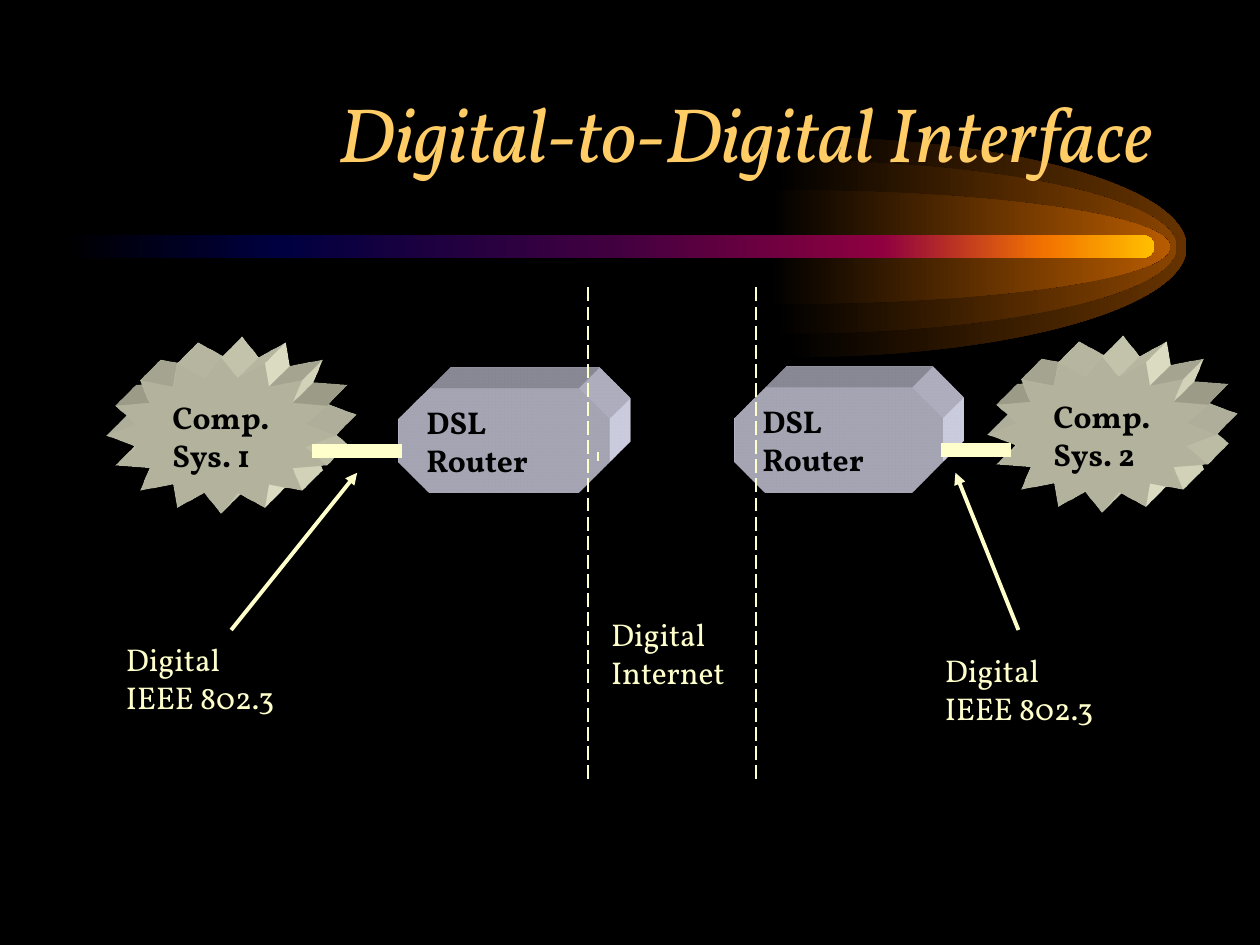
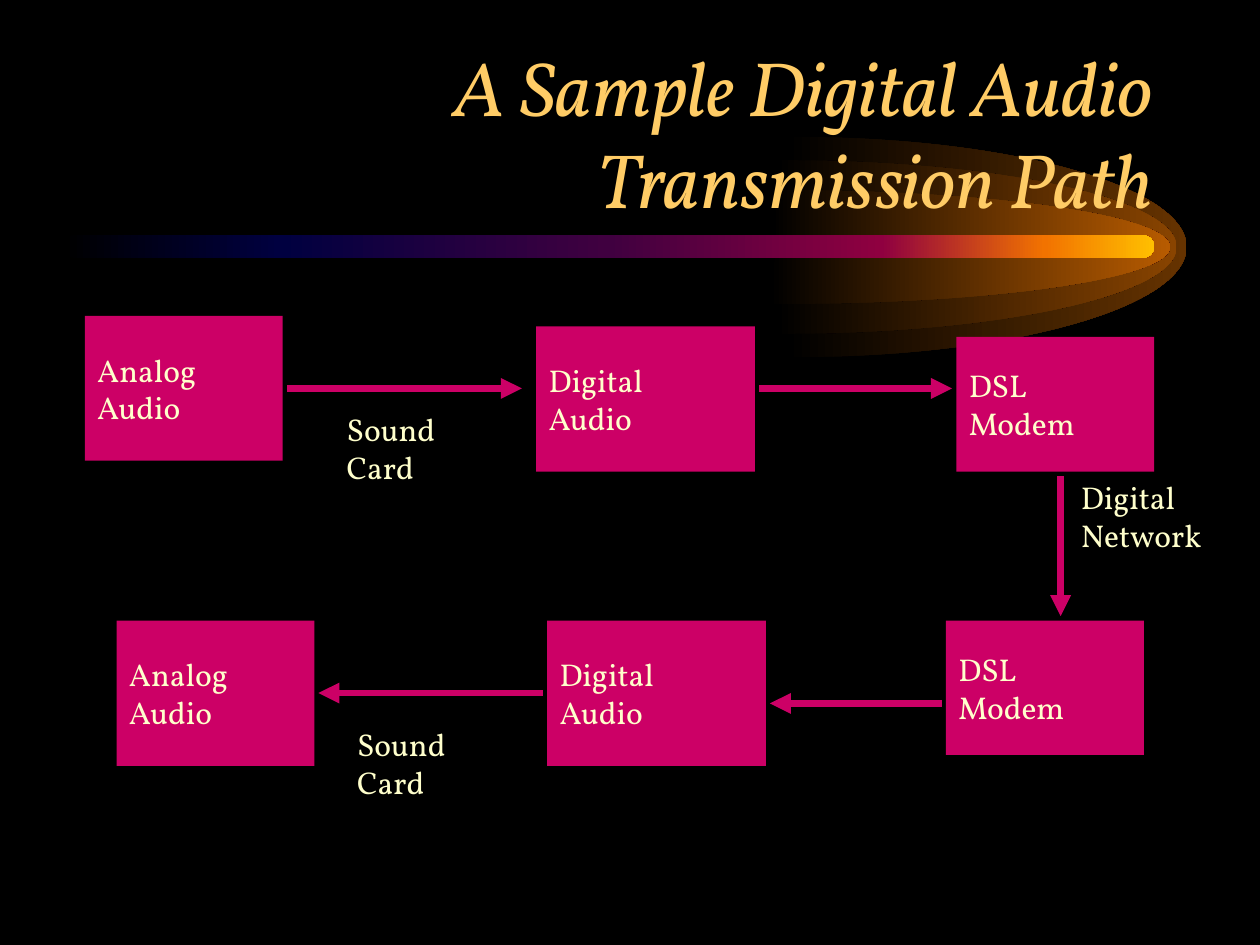
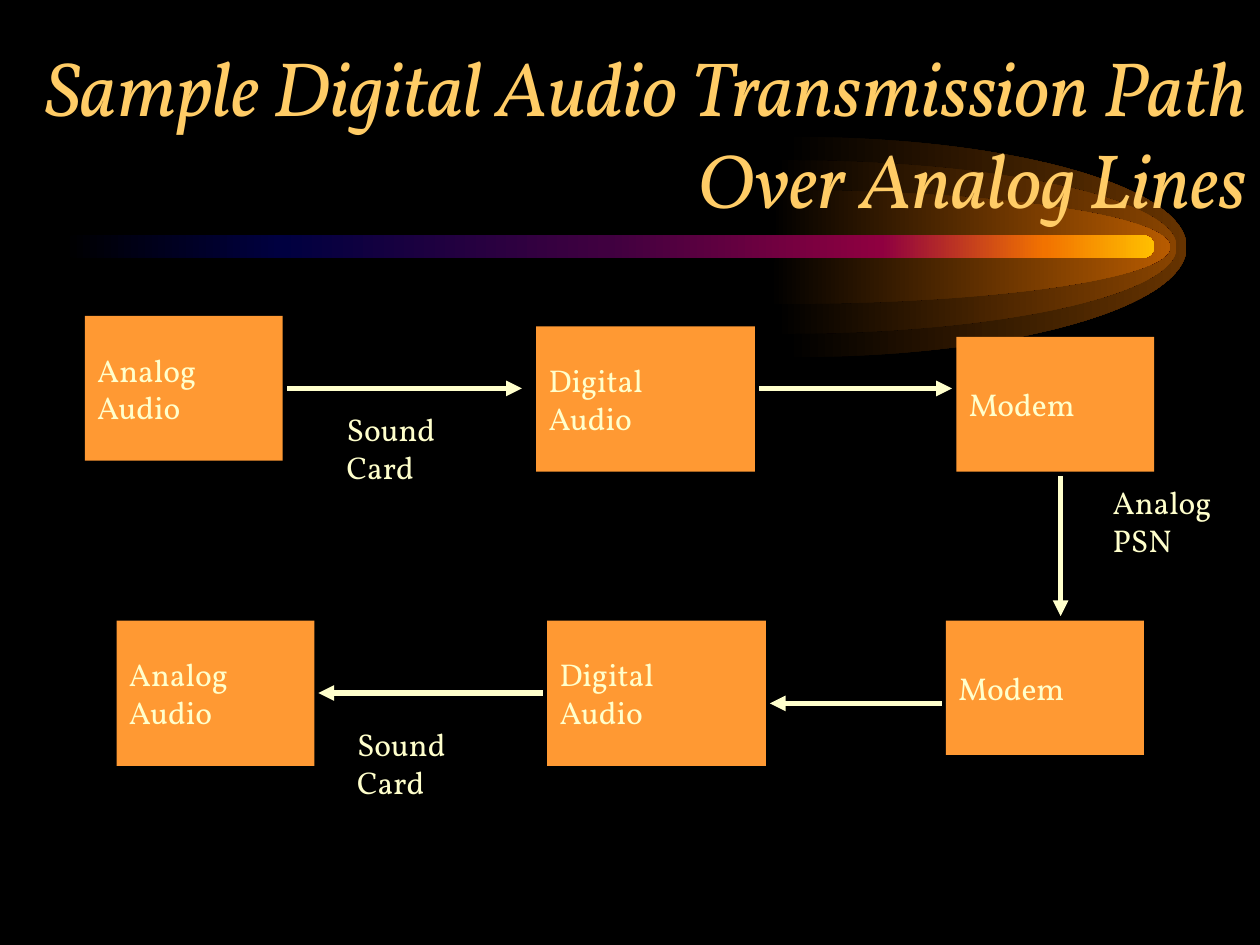
"""Build three slides on digital links and audio transmission."""
from dataclasses import dataclass

from lxml import etree
from pptx import Presentation
from pptx.dml.color import RGBColor
from pptx.enum import dml, shapes, text
from pptx.oxml import ns
from pptx.util import Cm, Pt

HUES = {
    "back": "000000", "title": "FFCC66", "cream": "FFFFCC", "ink": "000000",
    "star": "FFFFE1", "steel": "E9E9FF", "pink": "CC0066", "gold": "FF9933",
}
GLOWS = [(15.97, 2.22, "663300"), (15.77, 1.75, "894400"), (15.64, 1.15, "B75B00")]
BAND = [(0, "000000"), (20, "000040"), (50, "400040"),
        (75, "8F0040"), (90, "F27300"), (100, "FFBF00")]
BODY = {"name": "Vollkorn", "size": Pt(18), "bold": False, "italic": False}
BOLD = BODY | {"bold": True}
HEAD = BODY | {"size": Pt(44), "italic": True}
KIND = shapes.MSO_SHAPE
FIT = text.MSO_AUTO_SIZE.SHAPE_TO_FIT_TEXT
MID = text.MSO_ANCHOR.MIDDLE


@dataclass
class Block:
    words: str
    left: float
    top: float
    width: float
    height: float
    fill: str
    kind: KIND = KIND.RECTANGLE
    deep: bool = False


@dataclass
class Wire:
    x1: float
    y1: float
    x2: float
    y2: float
    hue: str = "cream"
    size: float = 1
    dash: bool = False
    arrow: bool = False


@dataclass
class Note:
    words: str
    left: float
    top: float
    width: float
    wrap: bool = False


def tint(hue: str) -> RGBColor:
    """Turn a colour name or hex string into a colour."""
    return RGBColor.from_string(HUES.get(hue, hue))


def node(parent, tag: str, **attrs: str):
    """Add a drawing element to its parent."""
    return etree.SubElement(parent, ns.qn(f"a:{tag}"), attrs)


def write(frame, words: str, font: dict, hue: str, align=text.PP_ALIGN.LEFT, **form) -> None:
    """Fill a text frame and format each paragraph."""
    frame.text = words
    for key, value in form.items():
        setattr(frame, key, value)
    for para in frame.paragraphs:
        para.alignment = align
        for key, value in font.items():
            setattr(para.font, key, value)
        para.font.color.rgb = tint(hue)


def plain(shape) -> None:
    """Take the shadow and outline off a shape."""
    shape.shadow.inherit = False
    shape.line.fill.background()


def blend(shape, stops: list) -> None:
    """Fill a shape with a gradient from left to right."""
    plain(shape)
    shape.fill.gradient()
    shape.fill.gradient_angle = 0
    row = shape.element.spPr.find(".//" + ns.qn("a:gsLst"))
    row.clear()
    for spot, hue in stops:
        node(node(row, "gs", pos=str(spot * 1000)), "srgbClr", val=hue)


def extrude(shape, hue: str) -> None:
    """Give a shape an oblique depth."""
    props = shape.element.spPr
    scene = node(props, "scene3d")
    node(scene, "camera", prst="legacyObliqueTopRight")
    node(scene, "lightRig", rig="legacyFlat3", dir="b")
    solid = node(props, "sp3d", extrusionH=str(Pt(33.87)), prstMaterial="legacyMatte")
    for side in ("bevelT", "bevelB"):
        node(solid, side, w="13500", h="13500", prst="angle")
    node(node(solid, "extrusionClr"), "srgbClr", val=HUES[hue])


def draw_block(slide, item: Block) -> None:
    """Draw a filled shape with its words."""
    shape = slide.shapes.add_shape(
        item.kind, *map(Cm, (item.left, item.top, item.width, item.height)))
    plain(shape)
    shape.fill.solid()
    shape.fill.fore_color.rgb = tint(item.fill)
    if item.deep:
        extrude(shape, item.fill)
    write(shape.text_frame, item.words, BOLD if item.deep else BODY,
          "ink" if item.deep else "cream", word_wrap=False, vertical_anchor=MID)


def draw_wire(slide, item: Wire) -> None:
    """Draw a straight line, dashed or with an arrowhead."""
    wire = slide.shapes.add_connector(
        shapes.MSO_CONNECTOR.STRAIGHT, *map(Cm, (item.x1, item.y1, item.x2, item.y2)))
    wire.line.color.rgb = tint(item.hue)
    wire.line.width = Pt(item.size)
    if item.dash:
        wire.line.dash_style = dml.MSO_LINE.LONG_DASH
    props = wire.element.spPr
    if item.arrow:
        node(props.find(ns.qn("a:ln")), "tailEnd", type="triangle")
    node(props, "effectLst")


def draw_note(slide, item: Note) -> None:
    """Draw a free label."""
    box = slide.shapes.add_textbox(*map(Cm, (item.left, item.top, item.width, 2.29)))
    write(box.text_frame, item.words, BODY, "cream", word_wrap=item.wrap, auto_size=FIT)


def draw_title(slide, words: str, left: float = 1.91, width: float = 21.59) -> None:
    """Draw the slide title."""
    box = slide.shapes.add_textbox(*map(Cm, (left, 1.06, width, 3.18)))
    write(box.text_frame, words, HEAD, "title", text.PP_ALIGN.RIGHT,
          word_wrap=True, vertical_anchor=MID)


def draw_all(slide, blocks: list, wires: list, notes: list) -> None:
    """Draw the parts of a diagram from back to front."""
    for draw, items in ((draw_block, blocks), (draw_wire, wires), (draw_note, notes)):
        for item in items:
            draw(slide, item)


def draw_glow(slide, x: float, high: float, hue: str) -> None:
    """Draw half an ellipse with two curves."""
    mid, wide, bend = 4.98, 7.95, 0.55
    spots = [(bend, -1), (1, -bend), (1, 0), (1, bend), (bend, 1), (0, 1)]
    rim = [(Cm(x + wide * u), Cm(mid + high * v)) for u, v in spots]
    rim += [(Cm(x - 0.12), Cm(mid + high)), (Cm(x), Cm(mid))]
    form = slide.shapes.build_freeform(Cm(x), Cm(mid - high))
    form.add_line_segments(rim)
    shape = form.convert_to_shape()
    sides = shape.element.findall(".//" + ns.qn("a:lnTo"))
    for start in (0, 3):
        curve = etree.Element(ns.qn("a:cubicBezTo"))
        sides[start].addprevious(curve)
        for side in sides[start:start + 3]:
            curve.append(side[0])
            side.getparent().remove(side)
    blend(shape, [(0, HUES["back"]), (100, hue)])


def dress(layout, slide) -> None:
    """Put the comet and the background on the layout."""
    layout.background.fill.solid()
    layout.background.fill.fore_color.rgb = tint("back")
    for old in list(layout.placeholders):
        old.element.getparent().remove(old.element)
    for glow in GLOWS:
        draw_glow(slide, *glow)
    band = slide.shapes.add_shape(KIND.ROUNDED_RECTANGLE, *map(Cm, (1.27, 4.74, 22, 0.46)))
    band.adjustments[0] = 0.5
    blend(band, BAND)
    for shape in list(slide.shapes):
        layout.shapes.element.append(shape.element)


def draw_link(slide) -> None:
    """Draw two systems joined by routers."""
    draw_title(slide, "Digital-to-Digital Interface")
    blocks = [Block(f"Comp.\nSys. {num}", left, top, 4.62, 3.15, "star",
                    KIND.STAR_16_POINT, True)
              for num, left, top in ((1, 2.14, 7.21), (2, 19.9, 7.19))]
    blocks += [Block("DSL\nRouter", left, top, width, 2.11, "steel", KIND.OCTAGON, True)
               for left, top, width in ((8.04, 7.83, 4.24), (14.81, 7.82, 4.19))]
    wires = [Wire(x1, y, x2, y, size=8)
             for x1, x2, y in ((6.28, 8.11, 9.1), (18.97, 20.38, 9.08))]
    wires.append(Wire(12.06, 9.12, 12.06, 9.3))
    wires += [Wire(x, 15.7, x, 5.72, dash=True) for x in (11.86, 15.24)]
    wires += [Wire(x1, 12.7, x2, 9.53, size=2.25, arrow=True)
              for x1, x2 in ((4.66, 7.2), (20.53, 19.26))]
    notes = [Note("Digital\nIEEE 802.3", 2.29, 12.78, 4.45),
             Note("Digital\nIEEE 802.3", 18.8, 13, 4.45),
             Note("Digital Internet", 12.07, 12.27, 4.24, True)]
    draw_all(slide, blocks, wires, notes)


def draw_audio(slide, modem: str, fill: str, hue: str, size: float, net: Note) -> None:
    """Draw the way of sound from source to listener."""
    parts = [("Analog\nAudio", 1.71, 6.37, 3.99, 2.92),
             ("Digital\nAudio", 10.81, 6.58, 4.41, 2.93),
             (modem, 19.07, 12.51, 3.99, 2.71),
             (modem, 19.28, 6.79, 3.99, 2.72),
             ("Digital\nAudio", 11.03, 12.51, 4.41, 2.93),
             ("Analog\nAudio", 2.35, 12.51, 3.99, 2.93)]
    ends = [(5.79, 7.83, 10.52, 7.83), (15.31, 7.83, 19.19, 7.83),
            (21.38, 9.6, 21.38, 12.42), (18.98, 14.18, 15.52, 14.18),
            (10.94, 13.97, 6.42, 13.97)]
    cards = [Note("Sound\nCard", left, top, 2.92)
             for left, top in ((6.74, 8.14), (6.95, 14.49))]
    draw_all(slide, [Block(*part, fill) for part in parts],
             [Wire(*end, hue, size, arrow=True) for end in ends], cards + [net])


def main() -> None:
    """Build and save the deck."""
    deck = Presentation()
    deck.slide_width, deck.slide_height = Cm(25.4), Cm(19.05)
    blank = deck.slide_layouts[6]
    link, direct, phone = [deck.slides.add_slide(blank) for _ in range(3)]
    dress(blank, link)
    draw_link(link)
    draw_title(direct, "A Sample Digital Audio Transmission Path")
    draw_audio(direct, "DSL\nModem", "pink", "pink", 4,
               Note("Digital\nNetwork", 21.54, 9.52, 3.86))
    draw_title(phone, "Sample Digital Audio Transmission Path Over Analog Lines", 0.63, 24.77)
    draw_audio(phone, "Modem", "gold", "cream", 3, Note("Analog\nPSN", 22.18, 9.61, 3.25))
    deck.save("out.pptx")


if __name__ == "__main__":
    main()
